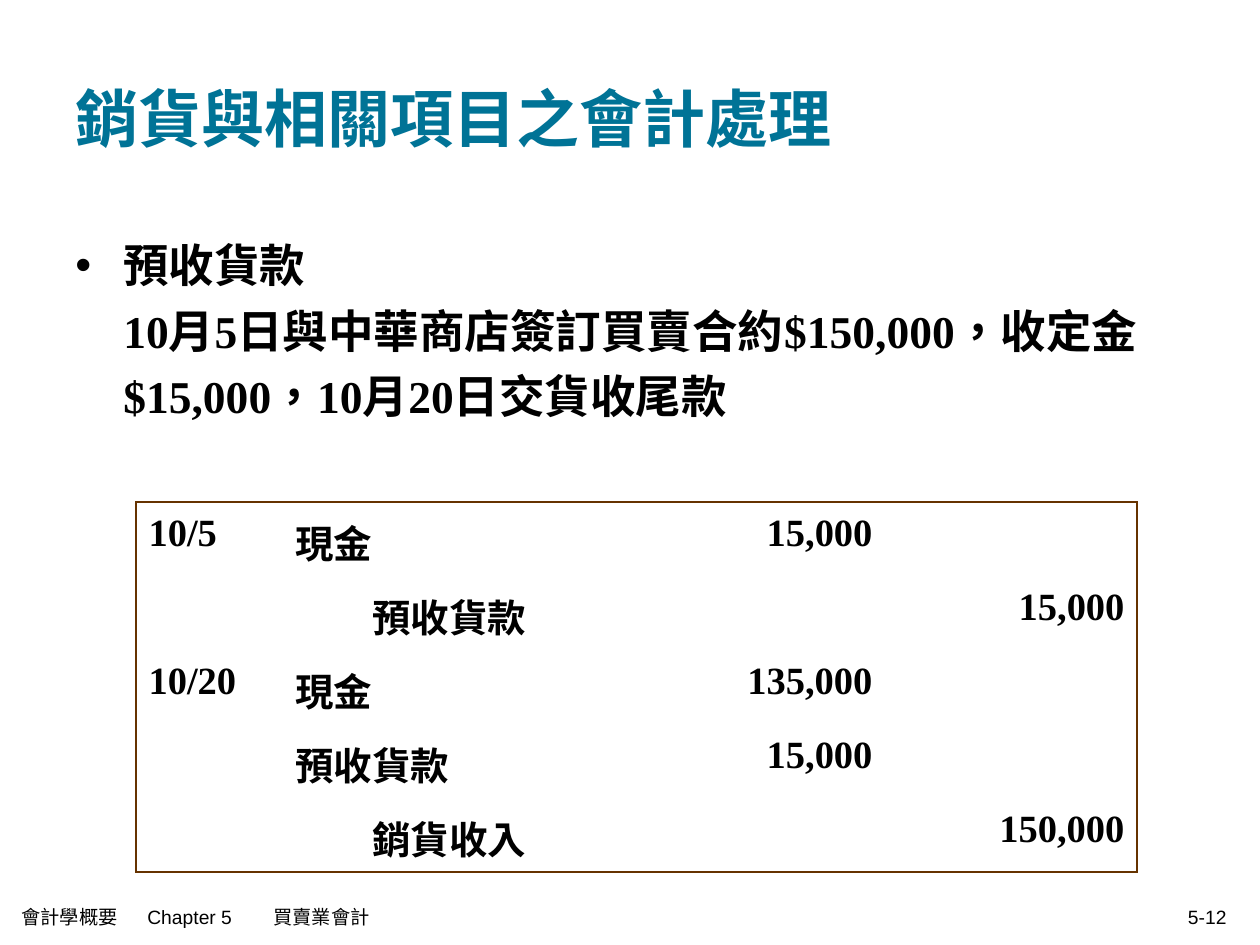
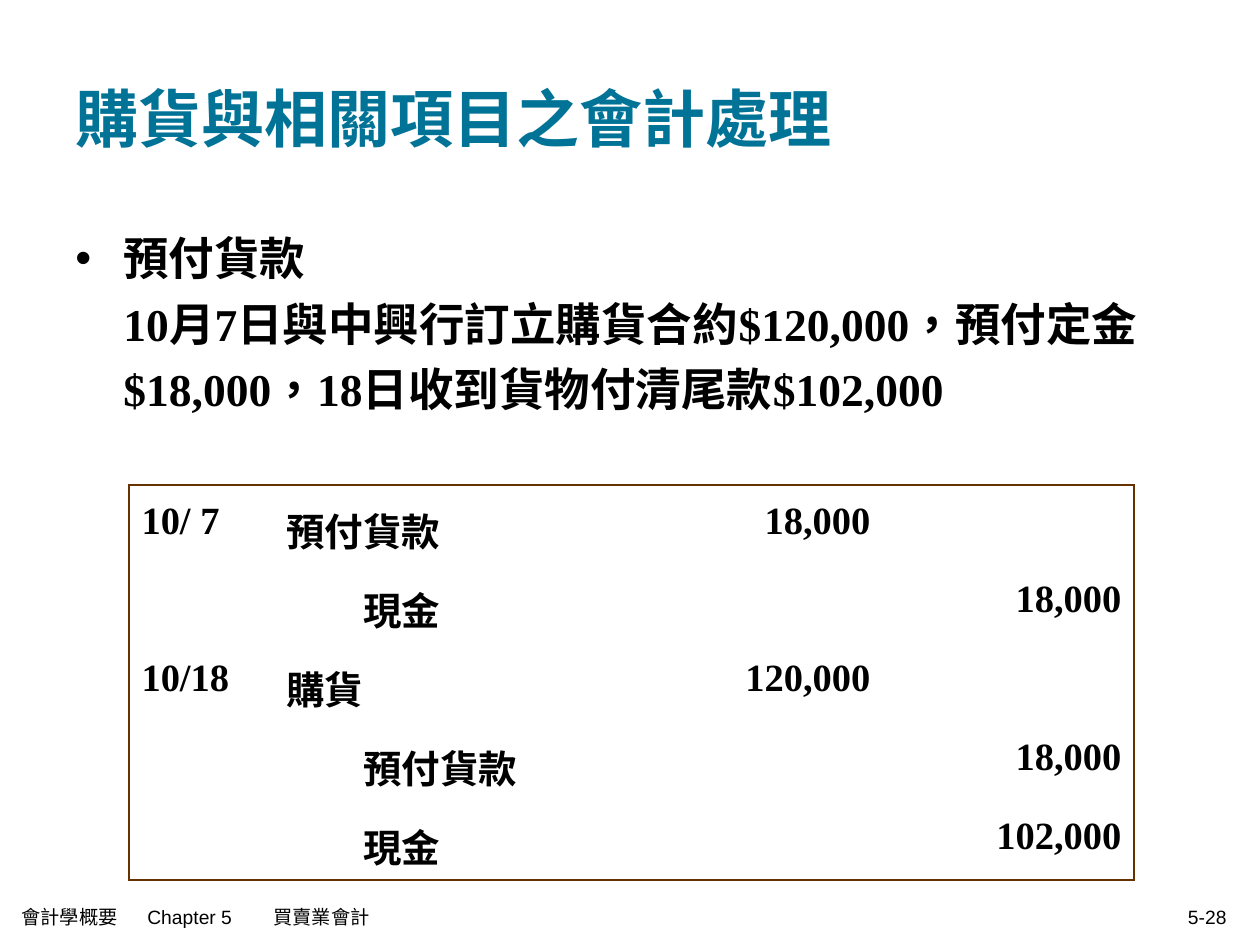
from lxml import etree
from pptx import Presentation
from pptx.dml.color import RGBColor
from pptx.enum.lang import MSO_LANGUAGE_ID
from pptx.enum.text import MSO_ANCHOR, PP_ALIGN
from pptx.oxml.ns import qn
from pptx.util import Pt

LEFT, RIGHT = PP_ALIGN.LEFT, PP_ALIGN.RIGHT
TOP, MIDDLE = MSO_ANCHOR.TOP, MSO_ANCHOR.MIDDLE
CHINESE = MSO_LANGUAGE_ID.TRADITIONAL_CHINESE

EMU_PER_PX = 914400 / 126
SLIDE_W, SLIDE_H = 1260, 945
SERIF, SANS = "Times New Roman", "Arial"
TEAL, BLACK, BROWN = "007396", "000000", "663300"

TITLE_BOX = (63, 38, 1134, 158)
FOOTER_BOX = (9, 896, 643, 42)
NUMBER_BOX = (945, 896, 294, 42)
FOOTER = "會計學概要\tChapter 5\t買賣業會計"
FOOTER_TABS = (114, 220)
BODY_INDENT, CREDIT_INDENT = 48, 77
RULE_WIDTH = Pt(1.08)

# Journal entries: date, account, debit, credit
SLIDES = [
    {
        "title": "銷貨與相關項目之會計處理",
        "topic": "預收貨款",
        "case": "10月5日與中華商店簽訂買賣合約$150,000，收定金$15,000，10月20日交貨收尾款",
        "body_box": (63, 220, 1134, 246),
        "journal": [
            ("10/5", "現金", "15,000", ""),
            ("", "預收貨款", "", "15,000"),
            ("10/20", "現金", "135,000", ""),
            ("", "預收貨款", "15,000", ""),
            ("", "銷貨收入", "", "150,000"),
        ],
        "journal_at": (136, 502),
        "columns": (147, 352, 250, 252),
        "row_height": 74,
        "line_spacing": 1.1,
        "number": "5-12",
    },
    {
        "title": "購貨與相關項目之會計處理",
        "topic": "預付貨款",
        "case": "10月7日與中興行訂立購貨合約$120,000，預付定金$18,000，18日收到貨物付清尾款$102,000",
        "body_box": (63, 213, 1105, 222),
        "journal": [
            ("10/ 7", "預付貨款", "18,000", ""),
            ("", "現金", "", "18,000"),
            ("10/18", "購貨", "120,000", ""),
            ("", "預付貨款", "", "18,000"),
            ("", "現金", "", "102,000"),
        ],
        "journal_at": (129, 485),
        "columns": (145, 358, 251, 251),
        "row_height": 79,
        "line_spacing": 1.2,
        "number": "5-28",
    },
]


def px(length):
    return round(length * EMU_PER_PX)


def rgb(color):
    return RGBColor.from_string(color)


def add_xml(parent, tag, **attributes):
    return etree.SubElement(parent, qn(tag), attributes)


def write(paragraph, text, size, font=SERIF, color=BLACK, bold=True,
          align=LEFT, spacing=None, indent=0, bullet="", tabs=()):
    properties = paragraph._p.get_or_add_pPr()
    properties.set("marL", str(px(indent)))
    properties.set("indent", str(px(-indent) if bullet else 0))
    if bullet:
        bullet_color = add_xml(properties, "a:buClr")
        add_xml(bullet_color, "a:srgbClr", val=color)
        add_xml(properties, "a:buFont", typeface=SANS)
        add_xml(properties, "a:buChar", char=bullet)
    if tabs:
        tab_list = add_xml(properties, "a:tabLst")
        for stop in tabs:
            add_xml(tab_list, "a:tab", pos=str(px(stop)), algn="l")
    paragraph.text = text
    paragraph.alignment = align
    if spacing:
        paragraph.line_spacing = spacing
    style = paragraph.font
    style.name, style.size, style.bold = font, Pt(size), bold
    style.color.rgb = rgb(color)
    style.language_id = CHINESE


def add_box(slide, box, anchor=MIDDLE):
    frame = slide.shapes.add_textbox(*map(px, box)).text_frame
    frame.word_wrap = True
    frame.vertical_anchor = anchor
    return frame


def set_borders(cell, visible_edges):
    """Rule the given edges (letters of LRTB) and clear the others."""
    properties = cell._tc.get_or_add_tcPr()
    for edge in "LRTB":
        line = add_xml(properties, f"a:ln{edge}", w=str(RULE_WIDTH))
        if edge in visible_edges:
            add_xml(add_xml(line, "a:solidFill"), "a:srgbClr", val=BROWN)
        else:
            add_xml(line, "a:noFill")


def add_journal(slide, content):
    entries, columns = content["journal"], content["columns"]
    row_height = content["row_height"]
    size = (sum(columns), row_height * len(entries))
    table = slide.shapes.add_table(
        len(entries), len(columns), *map(px, content["journal_at"] + size)).table
    table.first_row = table.horz_banding = False
    for column, width in zip(table.columns, columns):
        column.width = px(width)
    last_row, last_column = len(entries) - 1, len(columns) - 1
    for r, entry in enumerate(entries):
        table.rows[r].height = px(row_height)
        is_credit = bool(entry[3])
        for c, text in enumerate(entry):
            cell = table.cell(r, c)
            outer = {"L": c == 0, "R": c == last_column, "T": r == 0, "B": r == last_row}
            set_borders(cell, [edge for edge, on in outer.items() if on])
            cell.fill.background()
            write(cell.text_frame.paragraphs[0], text, 22,
                  align=RIGHT if c >= 2 else LEFT,
                  spacing=content["line_spacing"],
                  indent=CREDIT_INDENT if c == 1 and is_credit else 0)


def add_footer(slide, number):
    footer = add_box(slide, FOOTER_BOX)
    write(footer.paragraphs[0], FOOTER, 11, SANS, bold=False, tabs=FOOTER_TABS)
    page = add_box(slide, NUMBER_BOX)
    write(page.paragraphs[0], number, 11, SANS, bold=False, align=RIGHT)


def add_slide(deck, content):
    slide = deck.slides.add_slide(deck.slide_layouts[6])
    title = add_box(slide, TITLE_BOX)
    write(title.paragraphs[0], content["title"], 36, color=TEAL)
    body = add_box(slide, content["body_box"], TOP)
    write(body.paragraphs[0], content["topic"], 26,
          spacing=1.2, indent=BODY_INDENT, bullet="•")
    write(body.add_paragraph(), content["case"], 26, spacing=1.2, indent=BODY_INDENT)
    add_journal(slide, content)
    add_footer(slide, content["number"])


def main():
    deck = Presentation()
    deck.slide_width, deck.slide_height = px(SLIDE_W), px(SLIDE_H)
    for content in SLIDES:
        add_slide(deck, content)
    deck.save("out.pptx")


if __name__ == "__main__":
    main()
